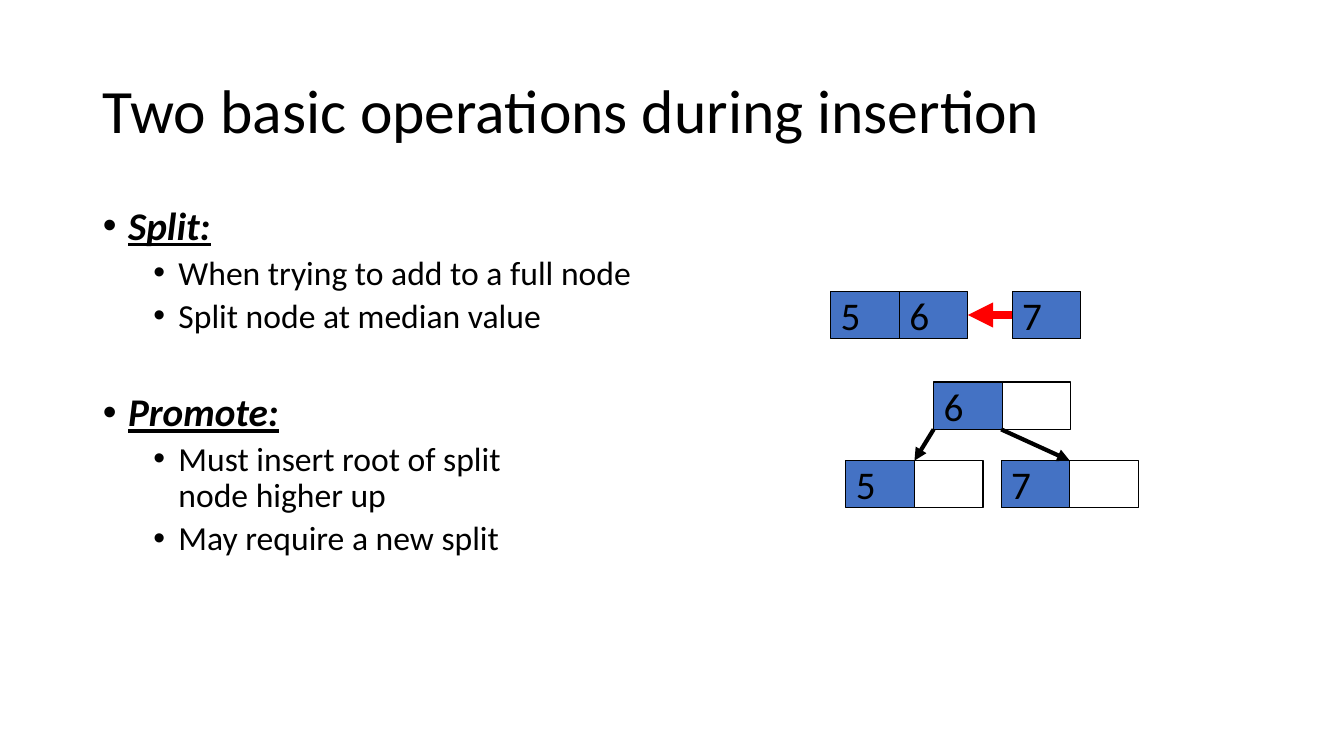
from lxml import etree
from pptx import Presentation
from pptx import util as u
from pptx.dml.color import RGBColor
from pptx.enum import shapes, text
from pptx.oxml.ns import qn

BLACK, BLUE, RED = "000000", "4472C4", "FF0000"
WIDE, HIGH = 0.68, 0.47
HEAD = dict(size=u.Pt(28), bold=True, italic=True, underline=True)
ITEM = dict(size=u.Pt(24), bold=False, italic=False, underline=False)
POINTS = [
    ("Split:", 0, 0),
    ("When trying to add to a full node", 1, 5),
    ("Split node at median value", 1, 5),
    ("Promote:", 0, 41),
    ("Must insert root of split\vnode higher up", 1, 5),
    ("May require a new split", 1, 5),
]


def paint(code):
    return RGBColor.from_string(code)


def apply(target, values):
    for name, value in values.items():
        setattr(target, name, value)


class Board:
    def __init__(self, deck):
        self.font = "Calibri"
        self.slide = deck.slides.add_slide(deck.slide_layouts[1])

    def place(self, shape, *box):
        names = ("left", "top", "width", "height")
        apply(shape, dict(zip(names, map(u.Inches, box))))

    def label(self, par, words, **style):
        par.text = words
        par.alignment = text.PP_ALIGN.LEFT
        for run in par.runs:
            apply(run.font, dict(name=self.font, **style))
            run.font.color.rgb = paint(BLACK)

    def title(self, words):
        shape = self.slide.shapes.title
        self.place(shape, 0.92, 0.4, 11.5, 1.45)
        frame = shape.text_frame
        apply(frame, dict(vertical_anchor=text.MSO_ANCHOR.MIDDLE,
                          auto_size=text.MSO_AUTO_SIZE.NONE))
        par = frame.paragraphs[0]
        self.label(par, words, size=u.Pt(44))
        par.line_spacing = 0.9

    def body(self, points):
        shape = self.slide.placeholders[1]
        self.place(shape, 0.92, 2, 11.5, 4.76)
        frame = shape.text_frame
        frame.auto_size = text.MSO_AUTO_SIZE.NONE
        for i, (words, level, gap) in enumerate(points):
            par = frame.add_paragraph() if i else frame.paragraphs[0]
            self.bullet(par, 0.25 + 0.5 * level)
            self.label(par, words, **(ITEM if level else HEAD))
            apply(par, dict(level=level, line_spacing=0.9,
                            space_before=u.Pt(gap), space_after=u.Pt(0)))

    def bullet(self, par, indent):
        props = par._p.get_or_add_pPr()
        props.set("marL", str(u.Inches(indent)))
        props.set("indent", str(u.Inches(-0.25)))
        etree.SubElement(props, qn("a:buFont"), typeface="Arial")
        etree.SubElement(props, qn("a:buChar"), char="•")

    def cell(self, left, top, key):
        shape = self.slide.shapes.add_shape(
            shapes.MSO_SHAPE.RECTANGLE,
            *map(u.Inches, (left, top, WIDE, HIGH)))
        shape.shadow.inherit = False
        shape.line.color.rgb = paint(BLACK)
        shape.line.width = u.Pt(0.75)
        if key:
            shape.fill.solid()
            shape.fill.fore_color.rgb = paint(BLUE)
            frame = shape.text_frame
            apply(frame, dict(word_wrap=True,
                              vertical_anchor=text.MSO_ANCHOR.MIDDLE))
            self.label(frame.paragraphs[0], key, size=u.Pt(28))
        else:
            shape.fill.background()
        return shape

    def node(self, left, top, *keys):
        return [self.cell(left + i * WIDE, top, key)
                for i, key in enumerate(keys)]

    def arrow(self, start, end, color, width):
        line = self.slide.shapes.add_connector(
            shapes.MSO_CONNECTOR.STRAIGHT, *map(u.Inches, start + end))
        line.line.color.rgb = paint(color)
        line.line.width = u.Pt(width)
        props = line._element.spPr
        etree.SubElement(props.find(qn("a:ln")), qn("a:tailEnd"),
                         type="triangle")
        etree.SubElement(props, qn("a:effectLst"))
        return line


def main():
    deck = Presentation()
    apply(deck, dict(slide_width=u.Inches(13.33), slide_height=u.Inches(7.5)))
    board = Board(deck)
    board.title("Two basic operations during insertion")
    board.body(POINTS)

    full = board.node(8.24, 2.89, "5", "6")
    extra = board.node(10.04, 2.89, "7")
    push = board.arrow((10.04, 3.13), (9.6, 3.13), RED, 6)
    push.begin_connect(extra[0], 1)
    push.end_connect(full[1], 3)

    for left, top, key in ((9.26, 3.79, "6"), (8.39, 4.57, "5"),
                           (9.93, 4.57, "7")):
        board.node(left, top, key, "")
    for start, end in ((9.26, 9.07), (9.93, 10.61)):
        board.arrow((start, 4.26), (end, 4.57), BLACK, 3)
    deck.save("out.pptx")


if __name__ == "__main__":
    main()
